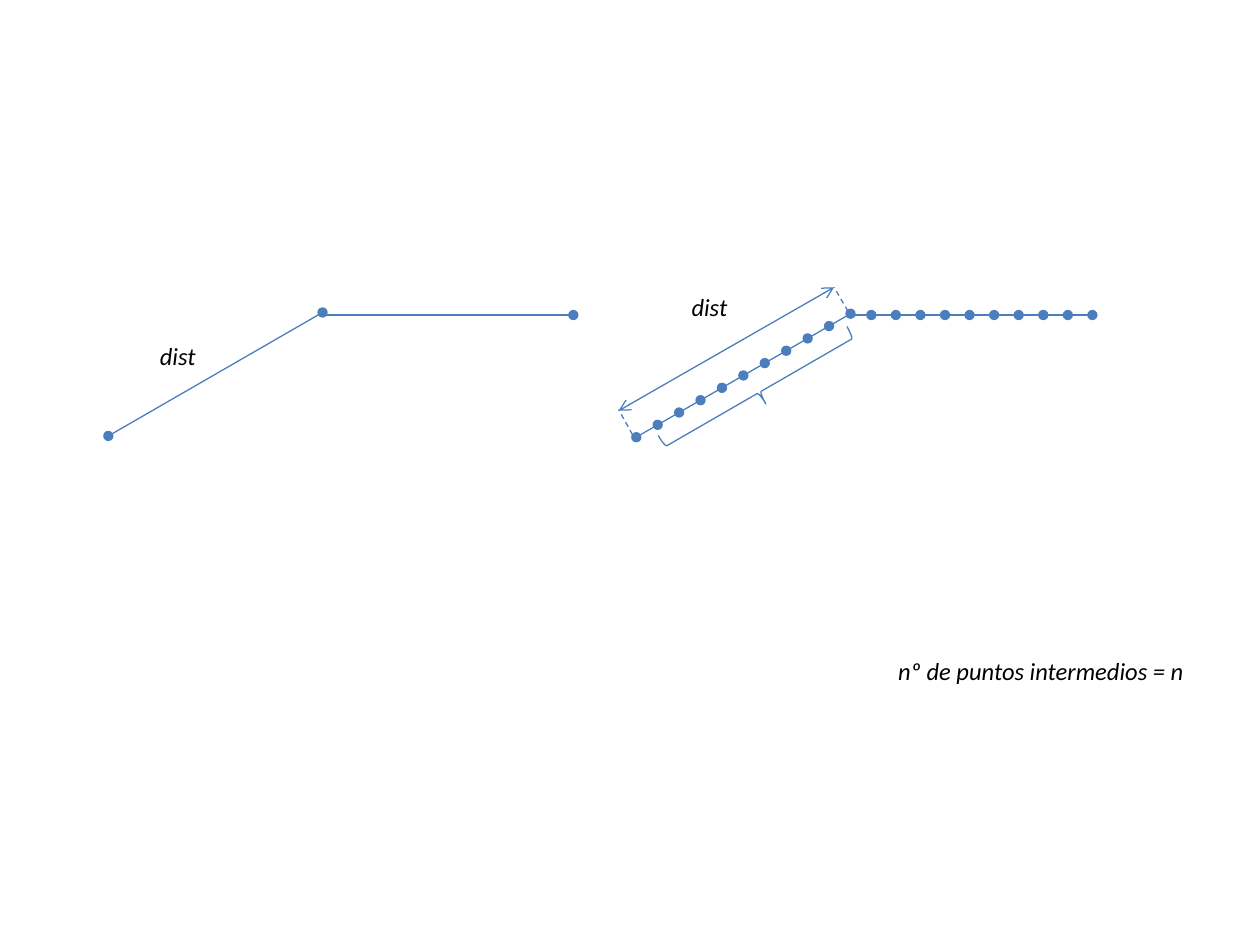
from dataclasses import dataclass

from lxml.etree import SubElement
from pptx import Presentation
from pptx.dml.color import RGBColor
from pptx.enum.dml import MSO_LINE
from pptx.enum.shapes import MSO_CONNECTOR, MSO_SHAPE
from pptx.enum.text import MSO_AUTO_SIZE
from pptx.oxml.ns import qn
from pptx.util import Inches, Pt


@dataclass(frozen=True)
class Theme:
    line_color: RGBColor = RGBColor(0x4B, 0x7E, 0xBC)
    text_color: RGBColor = RGBColor(0, 0, 0)
    line_width: Pt = Pt(0.75)
    font_name: str = "Calibri"
    font_size: Pt = Pt(14)


THEME = Theme()


def style_line(line, dashed=False):
    line.color.rgb = THEME.line_color
    line.width = THEME.line_width
    if dashed:
        line.dash_style = MSO_LINE.DASH


def add_line(shapes, start, end, head=None, tail=None, dashed=False):
    """Draw a line; head marks its start and tail marks its end."""
    connector = shapes.add_connector(
        MSO_CONNECTOR.STRAIGHT, *(Inches(value) for value in (*start, *end)))
    style_line(connector.line, dashed)
    properties = connector._element.spPr
    outline = properties.find(qn("a:ln"))
    for tag, marker in (("a:headEnd", head), ("a:tailEnd", tail)):
        if marker:
            SubElement(outline, qn(tag), type=marker)
    SubElement(properties, qn("a:effectLst"))


def add_dotted_chain(page, start, end, segments, first_dot=True):
    """Split a line into equal grouped segments with a dot at each joint."""
    points = [
        tuple(a + (b - a) * index / segments for a, b in zip(start, end))
        for index in range(segments + 1)
    ]
    group = page.shapes.add_group_shape()
    for index in range(segments):
        add_line(group.shapes, points[index], points[index + 1],
                 head="oval" if index or first_dot else None,
                 tail="oval" if index == segments - 1 else None)


def add_text(page, text, left, top, width, height=0.34, italic=True):
    box = page.shapes.add_textbox(
        Inches(left), Inches(top), Inches(width), Inches(height))
    frame = box.text_frame
    frame.word_wrap = True
    frame.auto_size = MSO_AUTO_SIZE.SHAPE_TO_FIT_TEXT
    span = frame.paragraphs[0].add_run()
    span.text = text
    span.font.name = THEME.font_name
    span.font.size = THEME.font_size
    span.font.italic = italic
    span.font.color.rgb = THEME.text_color


def add_brace(page, left, top, width, height, rotation):
    brace = page.shapes.add_shape(
        MSO_SHAPE.RIGHT_BRACE,
        Inches(left), Inches(top), Inches(width), Inches(height))
    brace.rotation = rotation
    brace.shadow.inherit = False
    brace.fill.background()
    style_line(brace.line)


def draw_original_path(page):
    add_line(page.shapes, (0.86, 3.46), (2.56, 2.48), head="oval", tail="oval")
    add_line(page.shapes, (2.58, 2.5), (4.55, 2.5), tail="oval")
    add_text(page, "dist", 1.17, 2.66, 0.63)


def draw_divided_path(page):
    add_dotted_chain(page, (5.05, 3.47), (6.75, 2.49), segments=10)
    add_dotted_chain(page, (6.72, 2.5), (8.67, 2.5), segments=10, first_dot=False)
    add_brace(page, 5.92, 2.25, 0.21, 1.73, rotation=60)
    add_text(page, "nº de puntos intermedios = n", 7.03, 5.16, 2.66)


def draw_distance_mark(page):
    add_line(page.shapes, (4.91, 3.26), (6.62, 2.28), head="arrow", tail="arrow")
    add_line(page.shapes, (6.73, 2.47), (6.62, 2.28), dashed=True)
    add_line(page.shapes, (5.02, 3.45), (4.91, 3.25), dashed=True)
    add_text(page, "dist", 5.39, 2.27, 0.63)


def main():
    deck = Presentation()
    deck.slide_width, deck.slide_height = Inches(10), Inches(7.5)
    page = deck.slides.add_slide(deck.slide_layouts[6])
    draw_original_path(page)
    draw_divided_path(page)
    draw_distance_mark(page)
    deck.save("out.pptx")


if __name__ == "__main__":
    main()
